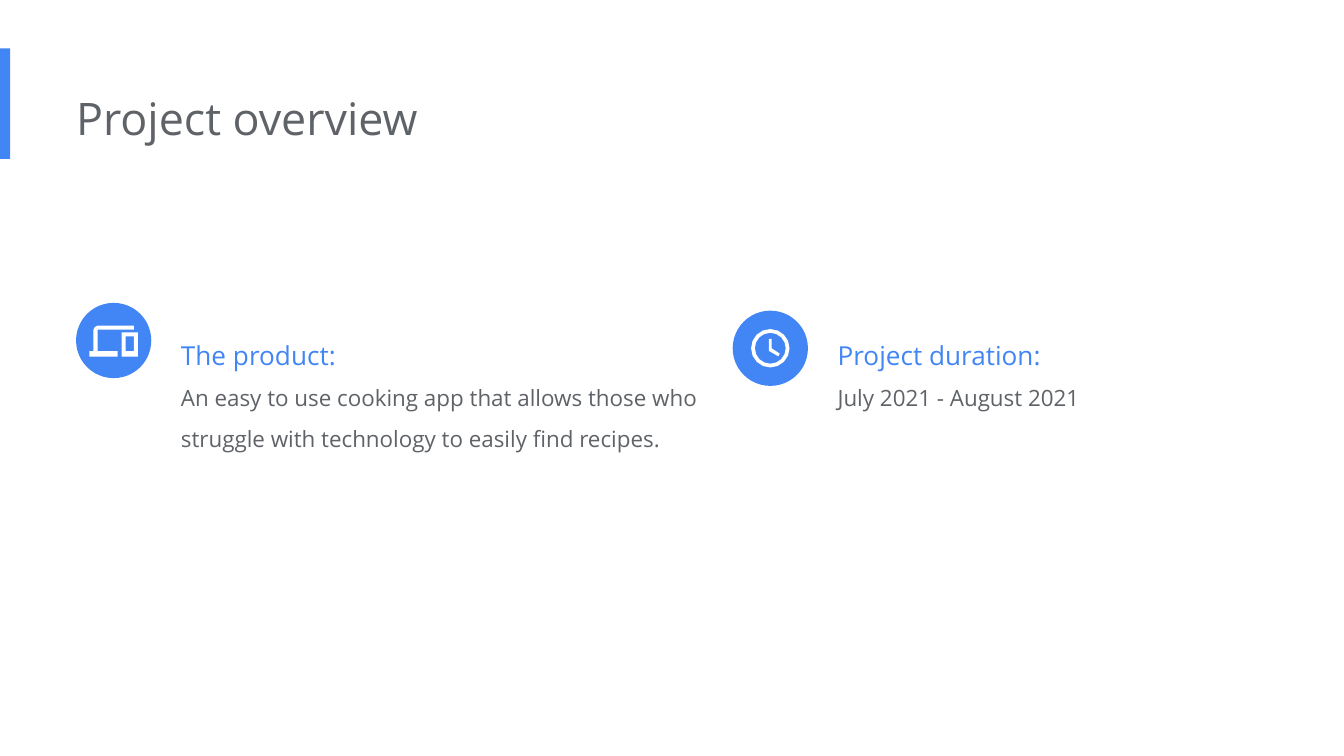
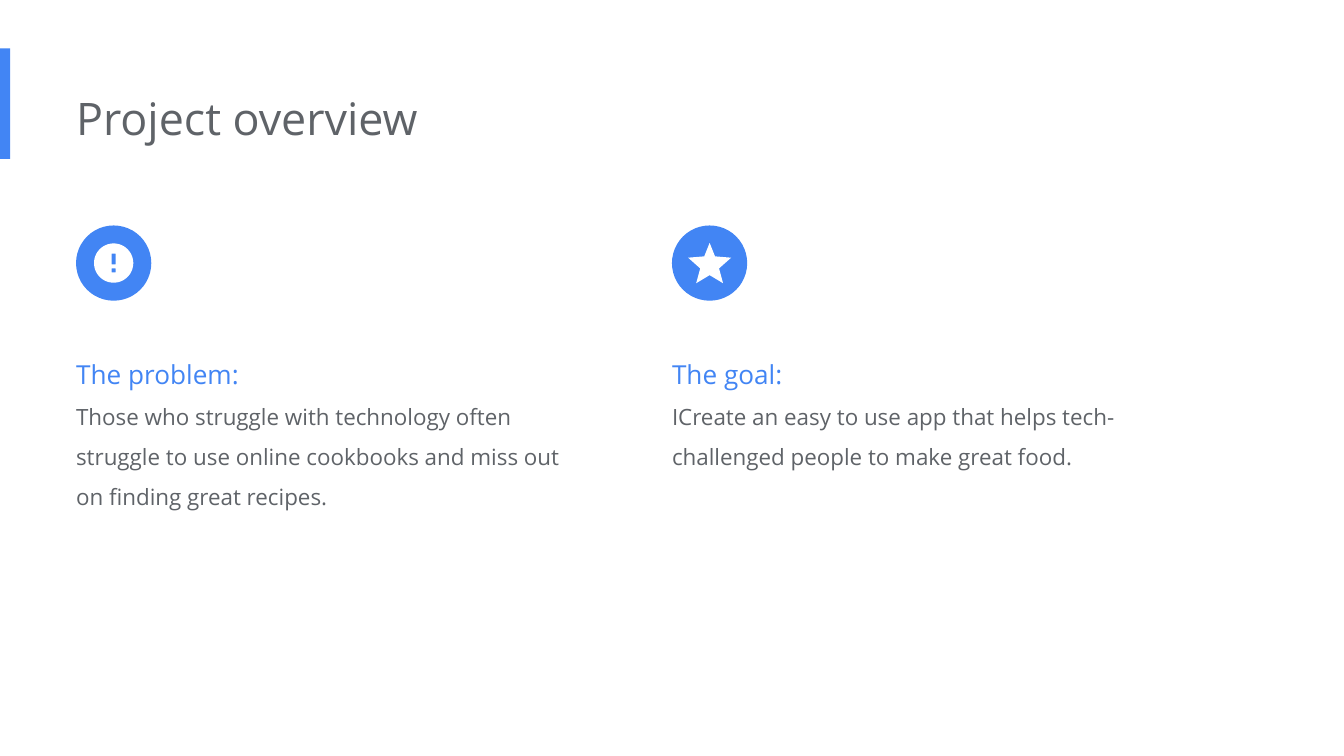
from math import cos, pi, sin

from pptx import Presentation
from pptx.dml.color import RGBColor as Rgb
from pptx.enum.shapes import MSO_SHAPE as Geo
from pptx.enum.text import MSO_ANCHOR as Anchor, MSO_AUTO_SIZE as Fit, PP_ALIGN as Align
from pptx.oxml.ns import qn
from pptx.util import Inches, Pt

HUES = {"blue": "4285F4", "gray": "5F6368", "white": "FFFFFF"}
FONT = "Open Sans"
COLS = 100    # square grid cells across the slide
EDGE = 5.66   # left margin, in cells
DISC = 5.6    # icon disc, in cells
TITLE = "Project overview"


# Icon outlines: points around the disc centre, in tenths of a cell
def ring(r, steps=16):
    turns = [2 * pi * i / steps for i in range(steps)]
    return [(r * cos(t), r * sin(t)) for t in turns]


def box(x1, y1, x2, y2):
    return [(x1, y1), (x2, y1), (x2, y2), (x1, y2)]


def mirror(half):
    return half + [(-x, y) for x, y in reversed(half[1:-1])]


ICONS = {
    "clock": [ring(14.3), ring(11.5),
              [(-1, -7), (-1, 2), (6, 6), (7, 4), (1, 0), (1, -7)]],
    "screens": [[(-12, -8), (15, -8), (15, -11), (-12, -11), (-14, -10),
                 (-15, -8), (-15, 8), (-18, 8), (-18, 12), (3, 12), (3, 8),
                 (-12, 8)],
                box(6, -6, 18, 12), box(9, -3, 15, 8)],
    "alert": [ring(14.6, 96), box(-1.5, -7, 1.5, 1), box(-1.5, 4, 1.5, 7)],
    "star": [mirror([(0, -15), (4, -5), (16, -4), (7, 4), (10, 15), (0, 9)])],
}


class Deck:
    def __init__(self):
        self.prs = Presentation()
        self.prs.slide_width = Inches(10)
        self.prs.slide_height = Inches(5.625)
        self.cell = self.prs.slide_width / COLS
        self.lay = self.prs.slide_layouts.get_by_name("Two Content")
        self.page = None

    def size(self, *cells):
        return [round(c * self.cell) for c in cells]

    def paint(self, shape, hue):
        shape.shadow.inherit = False
        shape.fill.solid()
        shape.fill.fore_color.rgb = Rgb.from_string(HUES[hue])
        shape.line.fill.background()
        return shape

    def solid(self, kind, x, y, w, h, hue):
        return self.paint(
            self.page.shapes.add_shape(kind, *self.size(x, y, w, h)), hue)

    def band(self):
        """Put the side band on the shared layout, behind its text."""
        bar = self.solid(Geo.RECTANGLE, 0, 3.6, 0.76, 8.23, "blue").element
        bar.nvSpPr.cNvPr.set("id", "20")
        self.lay.shapes.element.insert(2, bar)

    def start(self, title):
        first = self.page is None
        self.page = self.prs.slides.add_slide(self.lay)
        if first:
            self.band()
        self.fill(0, EDGE, 5.74, 67.3, 6.1, [(title, 24, "gray")])

    def fill(self, slot, x, y, w, h, lines, gap=1):
        """Move a placeholder and write one run per paragraph."""
        hold = self.page.placeholders[slot]
        hold.left, hold.top, hold.width, hold.height = self.size(x, y, w, h)
        frame = hold.text_frame
        frame.word_wrap = True
        frame.auto_size = Fit.SHAPE_TO_FIT_TEXT
        frame.vertical_anchor = Anchor.TOP
        frame.margin_left = 0
        frame.margin_top = frame.margin_right = frame.margin_bottom = Inches(0.1)
        for i, (text, size, hue) in enumerate(lines):
            para = frame.add_paragraph() if i else frame.paragraphs[0]
            para.alignment = Align.LEFT
            para.line_spacing = gap
            para.space_before = Pt(0)
            props = para._p.get_or_add_pPr()
            props.set("marL", "0")
            props.set("indent", "0")
            props.append(props.makeelement(qn("a:buNone"), {}))
            run = para.add_run()
            run.text = text
            run.font.name, run.font.size = FONT, Pt(size)
            run.font.color.rgb = Rgb.from_string(HUES[hue])

    def note(self, slot, x, y, w, h, head, text):
        self.fill(slot, x, y, w, h, [(head, 14, "blue"), (text, 12, "gray")], 1.5)

    def icon(self, name, x, y):
        self.solid(Geo.OVAL, x, y, DISC, DISC, "blue")
        mid_x, mid_y = x + DISC / 2, y + DISC / 2
        loops = [[self.size(mid_x + px / 10, mid_y + py / 10) for px, py in loop]
                 for loop in ICONS[name]]
        pen = self.page.shapes.build_freeform(*loops[0][0])
        for i, loop in enumerate(loops):
            if i:
                pen.move_to(*loop[0])
            pen.add_line_segments(loop[1:], close=True)
        self.paint(pen.convert_to_shape(), "white")


def main():
    deck = Deck()

    # Product and duration: text beside each icon
    deck.start(TITLE)
    deck.note(1, 13.46, 23.1, 43, 10.6, "The product:",
              "An easy to use cooking app that allows those who struggle "
              "with technology to easily find recipes.")
    deck.note(2, 62.32, 23.1, 37.7, 7.6, "Project duration:",
              "July 2021 - August 2021")
    deck.icon("screens", EDGE, 22.54)
    deck.icon("clock", 54.52, 23.12)

    # Problem and goal: text below each icon
    deck.start(TITLE)
    parts = [
        (EDGE, 13.6, "alert", "The problem:",
         "Those who struggle with technology often struggle to use online "
         "cookbooks and miss out on finding great recipes."),
        (50, 10.6, "star", "The goal:",
         "ICreate an easy to use app that helps tech-challenged people "
         "to make great food."),
    ]
    for slot, (x, h, name, head, text) in enumerate(parts, 1):
        deck.note(slot, x, 24.48, 37.7, h, head, text)
        deck.icon(name, x, 16.78)

    deck.prs.save("out.pptx")


if __name__ == "__main__":
    main()
